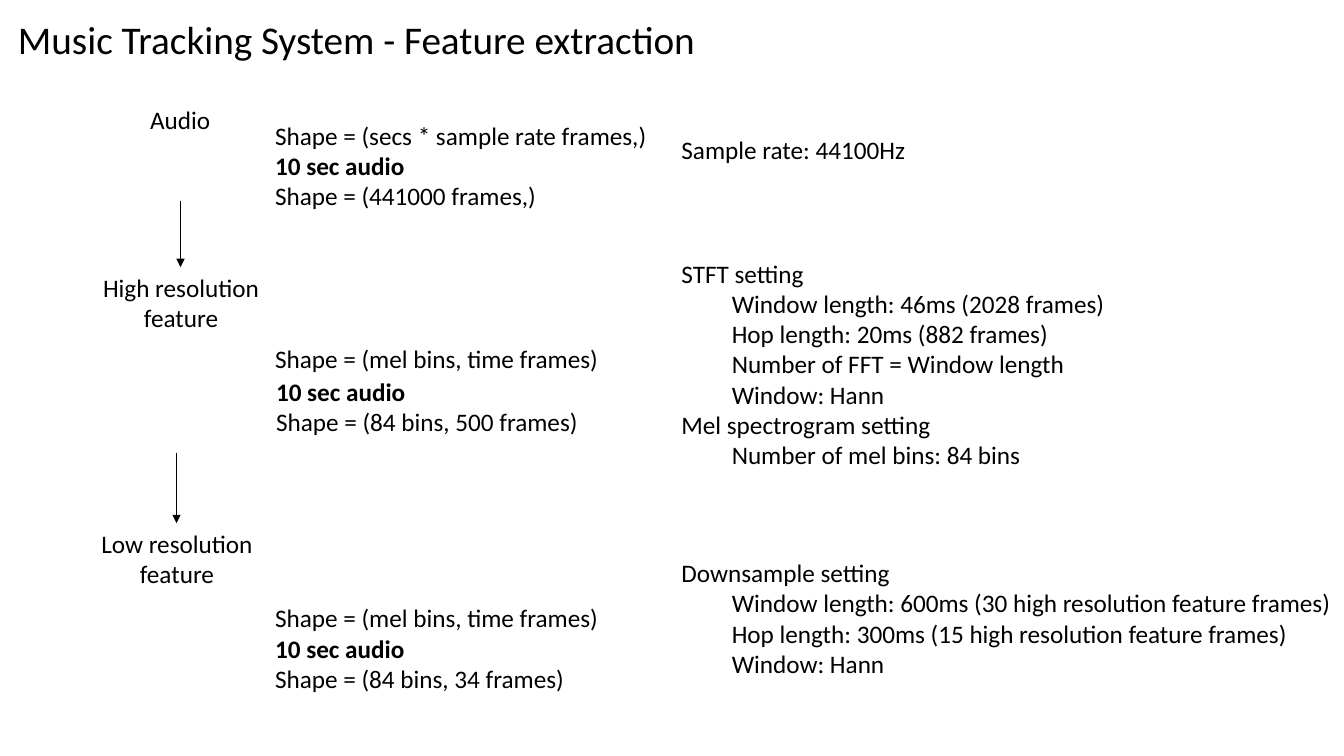
from pptx import Presentation
from pptx import util as u
from pptx.dml.color import RGBColor
from pptx.enum import shapes, text
from pptx.oxml.ns import qn
from lxml import etree

COLORS = {"ink": "000000", "paper": "FFFFFF"}
FONT = "Calibri"
INDENT = u.Inches(0.5)

prs = Presentation()
prs.slide_width, prs.slide_height = u.Inches(13.33), u.Inches(7.5)
s = prs.slides.add_slide(prs.slide_layouts[6])
s.background.fill.solid()
s.background.fill.fore_color.rgb = RGBColor.from_string(COLORS["paper"])


def share(x, y):
    return int(prs.slide_width * x / 100), int(prs.slide_height * y / 100)


def add_text(x, y, w, h, lines, size=18, wrap=False, centred=False):
    sp = s.shapes.add_textbox(*share(x, y), *share(w, h))
    tf = sp.text_frame
    tf.word_wrap = wrap
    tf.auto_size = text.MSO_AUTO_SIZE.SHAPE_TO_FIT_TEXT
    for i, (line, level, bold) in enumerate(lines):
        p = tf.paragraphs[0] if i == 0 else tf.add_paragraph()
        if level:
            p.level = level
            p._p.get_or_add_pPr().set("marL", str(INDENT * level))
            p._p.get_or_add_pPr().set("indent", "0")
        if centred:
            p.alignment = text.PP_ALIGN.CENTER
        r = p.add_run()
        r.text = line
        r.font.name = FONT
        r.font.size = u.Pt(size)
        r.font.bold = bold
        r.font.color.rgb = RGBColor.from_string(COLORS["ink"])


ONE_ROW, TWO_ROWS = 5.33, 9.47
STAGE_W, SHAPE_X, SHAPE_W, SETTING_X = 13.28, 19.73, 34.81, 49.96

add_text(0.6, 1.33, 52.44, 7.6,
         [("Music Tracking System - Feature extraction", 0, False)], size=28)

add_text(10.43, 13.2, 6.08, ONE_ROW, [("Audio", 0, False)])
add_text(6.83, 35.33, STAGE_W, TWO_ROWS,
         [("High resolution", 0, False), ("feature", 0, False)], centred=True)
add_text(6.53, 69.2, STAGE_W, TWO_ROWS,
         [("Low resolution feature", 0, False)], wrap=True, centred=True)

settings = [
    (17.07, 18.38, ONE_ROW, [("Sample rate: 44100Hz", 0)]),
    (33.47, 33.38, 29.6, [
        ("STFT setting", 0),
        ("Window length: 46ms (2028 frames)", 1),
        ("Hop length: 20ms (882 frames)", 1),
        ("Number of FFT = Window length", 1),
        ("Window: Hann", 1),
        ("Mel spectrogram setting", 0),
        ("Number of mel bins: 84 bins", 1),
    ]),
    (73.07, 50.41, 17.47, [
        ("Downsample setting", 0),
        ("Window length: 600ms (30 high resolution feature frames)", 1),
        ("Hop length: 300ms (15 high resolution feature frames)", 1),
        ("Window: Hann", 1),
    ]),
]
for y, w, h, lines in settings:
    add_text(SETTING_X, y, w, h, [(line, level, False) for line, level in lines])

feature_shapes = [
    (15.2, "(secs * sample rate frames,)", SHAPE_X, 19.2, "(441000 frames,)"),
    (44.8, "(mel bins, time frames)", 19.8, 49.07, "(84 bins, 500 frames)"),
    (79.07, "(mel bins, time frames)", SHAPE_X, 83.07, "(84 bins, 34 frames)"),
]
for y, general, example_x, example_y, example in feature_shapes:
    add_text(SHAPE_X, y, SHAPE_W, ONE_ROW,
             [(f"Shape = {general}", 0, False)], wrap=True)
    add_text(example_x, example_y, SHAPE_W, TWO_ROWS,
             [("10 sec audio", 0, True), (f"Shape = {example}", 0, False)], wrap=True)

for x, top, bottom in [(13.43, 26.53, 35.33), (13.13, 59.87, 69.2)]:
    arrow = s.shapes.add_connector(shapes.MSO_CONNECTOR.STRAIGHT,
                                   *share(x, top), *share(x, bottom))
    arrow.line.color.rgb = RGBColor.from_string(COLORS["ink"])
    arrow.line.width = u.Pt(0.5)
    etree.SubElement(arrow.line._get_or_add_ln(), qn("a:tailEnd"), type="triangle")
    etree.SubElement(arrow._element.spPr, qn("a:effectLst"))

prs.save("out.pptx")
